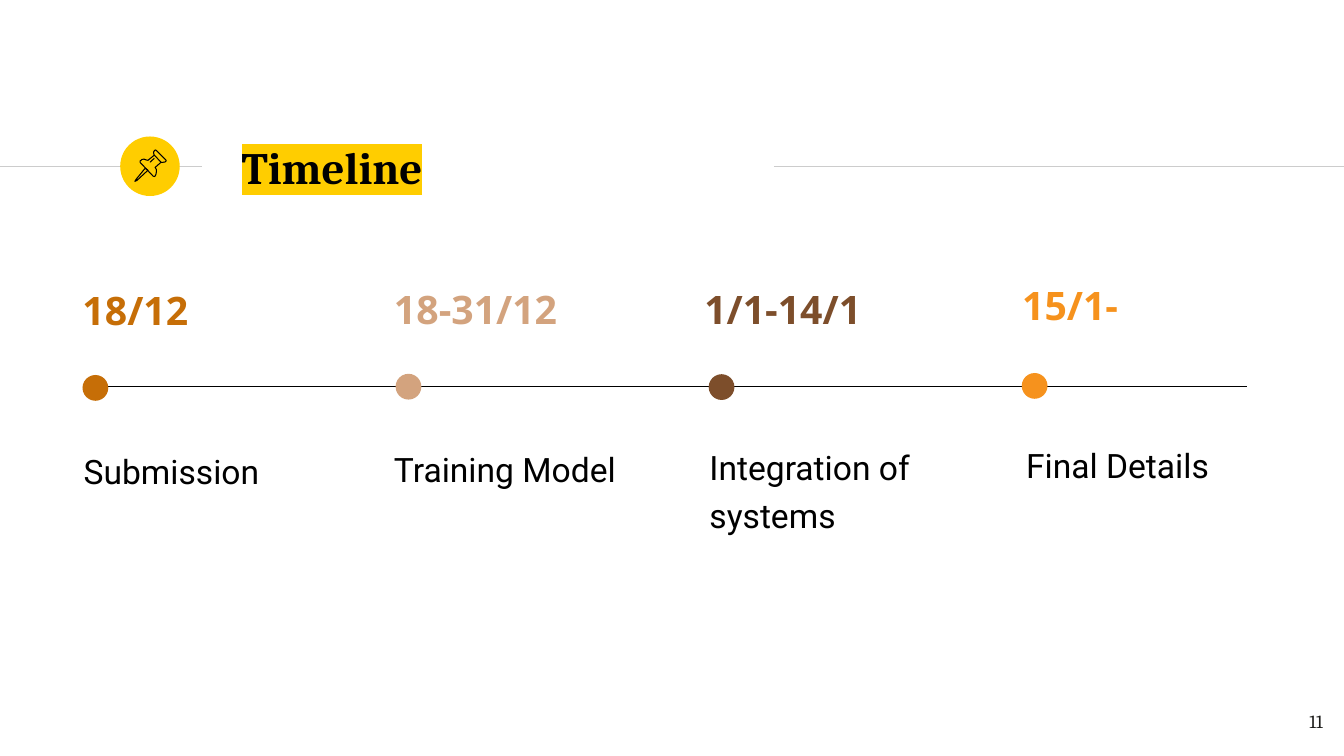
from typing import NamedTuple

import pptx
import pptx.dml.color
import pptx.enum.shapes
import pptx.enum.text
import pptx.oxml
import pptx.oxml.ns
import pptx.util
from lxml import etree

Cm = pptx.util.Cm
Pt = pptx.util.Pt
ALIGN = pptx.enum.text.PP_ALIGN
ANCHOR = pptx.enum.text.MSO_ANCHOR
SHAPE = pptx.enum.shapes.MSO_SHAPE

BLACK, GREY, YELLOW = "000000", "CCCCCC", "FFCD00"
HEADER_Y, AXIS_Y = 4.19, 9.73
DOT_LEFT, DOT_PITCH, DOT_SIZE = 2.08, 7.89, 0.65


class Milestone(NamedTuple):
    """Dates and labels hold their own left and top in centimetres."""
    date: str
    date_at: tuple[float, float]
    label: str
    label_at: tuple[float, float]
    label_height: float
    dot_top: float
    colour: str


class PinPart(NamedTuple):
    """Outline points in hundredths of a centimetre."""
    points: list[tuple[int, int]]
    closed: bool


MILESTONES = [
    Milestone("18/12", (2.08, 6.99), "Submission", (2.11, 11.2), 1.2, 9.45, "C66E07"),
    Milestone("18-31/12", (9.93, 6.96), "Training Model", (9.93, 11.15), 1.2, 9.42, "D3A37E"),
    Milestone("1/1-14/1", (17.75, 6.96), "Integration of systems", (17.88, 11.1), 2.4, 9.43, "7D4E2B"),
    Milestone("15/1-", (25.76, 6.86), "Final Details", (25.86, 11.05), 1.2, 9.4, "F6921D"),
]

PIN_PARTS = [
    PinPart([(366, 424), (343, 452), (340, 457), (345, 455), (373, 429)], True),
    PinPart([(389, 391), (406, 409), (411, 409), (417, 408), (419, 405), (418, 403),
             (394, 379), (391, 378), (389, 380), (387, 384), (388, 389)], True),
    PinPart([(389, 391), (373, 404), (368, 403), (363, 401), (358, 402), (353, 406),
             (353, 409), (386, 444), (390, 445), (393, 440), (394, 434), (394, 427),
             (391, 422), (406, 409)], False),
    PinPart([(378, 409), (389, 399)], False),
]


def rgb(value: str) -> pptx.dml.color.RGBColor:
    return pptx.dml.color.RGBColor.from_string(value)


def add_line(s, x1: float, x2: float, y: float, colour: str) -> None:
    line = s.shapes.add_connector(pptx.enum.shapes.MSO_CONNECTOR.STRAIGHT,
                                  Cm(x1), Cm(y), Cm(x2), Cm(y))
    line.line.color.rgb = rgb(colour)
    line.line.width = Pt(0.75)
    etree.SubElement(line._element.spPr, pptx.oxml.ns.qn("a:effectLst"))


def add_dot(s, left: float, top: float, size: float, colour: str) -> None:
    sp = s.shapes.add_shape(SHAPE.OVAL, Cm(left), Cm(top), Cm(size), Cm(size))
    sp.shadow.inherit = False
    sp.fill.solid()
    sp.fill.fore_color.rgb = rgb(colour)
    sp.line.fill.background()


def add_pin_part(s, part: PinPart) -> None:
    builder = s.shapes.build_freeform(*part.points[0], scale=Cm(0.01))
    builder.add_line_segments(part.points[1:], close=part.closed)
    sp = builder.convert_to_shape()
    sp.shadow.inherit = False
    sp.fill.background()
    sp.line.color.rgb = rgb(BLACK)
    sp.line.width = Pt(0.75)


def add_text(s, text: str, box: tuple[float, float, float, float], font: str,
             size: float, colour: str, bold: bool = False, inset: float = 0,
             spacing: float = 1.0, align=ALIGN.LEFT, anchor=ANCHOR.TOP):
    """Add a one-paragraph text box and return its paragraph."""
    tf = s.shapes.add_textbox(*map(Cm, box)).text_frame
    tf.word_wrap = True
    tf.vertical_anchor = anchor
    tf.margin_left = tf.margin_top = tf.margin_right = tf.margin_bottom = Cm(inset)
    p = tf.paragraphs[0]
    p.text = text
    p.alignment = align
    p.line_spacing = spacing
    p.font.name = font
    p.font.size = Pt(size)
    p.font.bold = bold
    p.font.color.rgb = rgb(colour)
    return p


def highlight(r, colour: str) -> None:
    mark = etree.SubElement(r._r.get_or_add_rPr(), pptx.oxml.ns.qn("a:highlight"))
    etree.SubElement(mark, pptx.oxml.ns.qn("a:srgbClr"), val=colour)


def add_milestone(s, index: int, m: Milestone) -> None:
    add_text(s, m.date, (*m.date_at, 6.2, 1.45), "Noto Sans", 28, m.colour,
             bold=True, spacing=1.2)
    add_dot(s, DOT_LEFT + index * DOT_PITCH, m.dot_top, DOT_SIZE, m.colour)
    add_text(s, m.label, (*m.label_at, 6.81, m.label_height), "Roboto", 24, BLACK,
             spacing=1.17)


def main() -> None:
    prs = pptx.Presentation()
    prs.slide_width, prs.slide_height = Cm(33.87), Cm(19.05)
    s = prs.slides.add_slide(prs.slide_layouts[6])

    add_line(s, 0, 5.1, HEADER_Y, GREY)
    add_dot(s, 3.03, 3.44, 1.5, YELLOW)
    add_line(s, 19.5, 33.87, HEADER_Y, GREY)
    for part in PIN_PARTS:
        add_pin_part(s, part)
    title = add_text(s, "Timeline", (5.75, 3.38, 21.28, 1.62), "Cambria", 32, BLACK,
                     bold=True, inset=0.34, anchor=ANCHOR.MIDDLE)
    highlight(title.runs[0], YELLOW)

    add_line(s, 2.1, 31.42, AXIS_Y, BLACK)
    for index, milestone in enumerate(MILESTONES):
        add_milestone(s, index, milestone)

    add_text(s, "11", (31.65, 17.6, 2.03, 1.45), "Cambria", 13.3, "1D1D1B",
             inset=0.34, align=ALIGN.RIGHT)
    prs.save("out.pptx")


if __name__ == "__main__":
    main()
